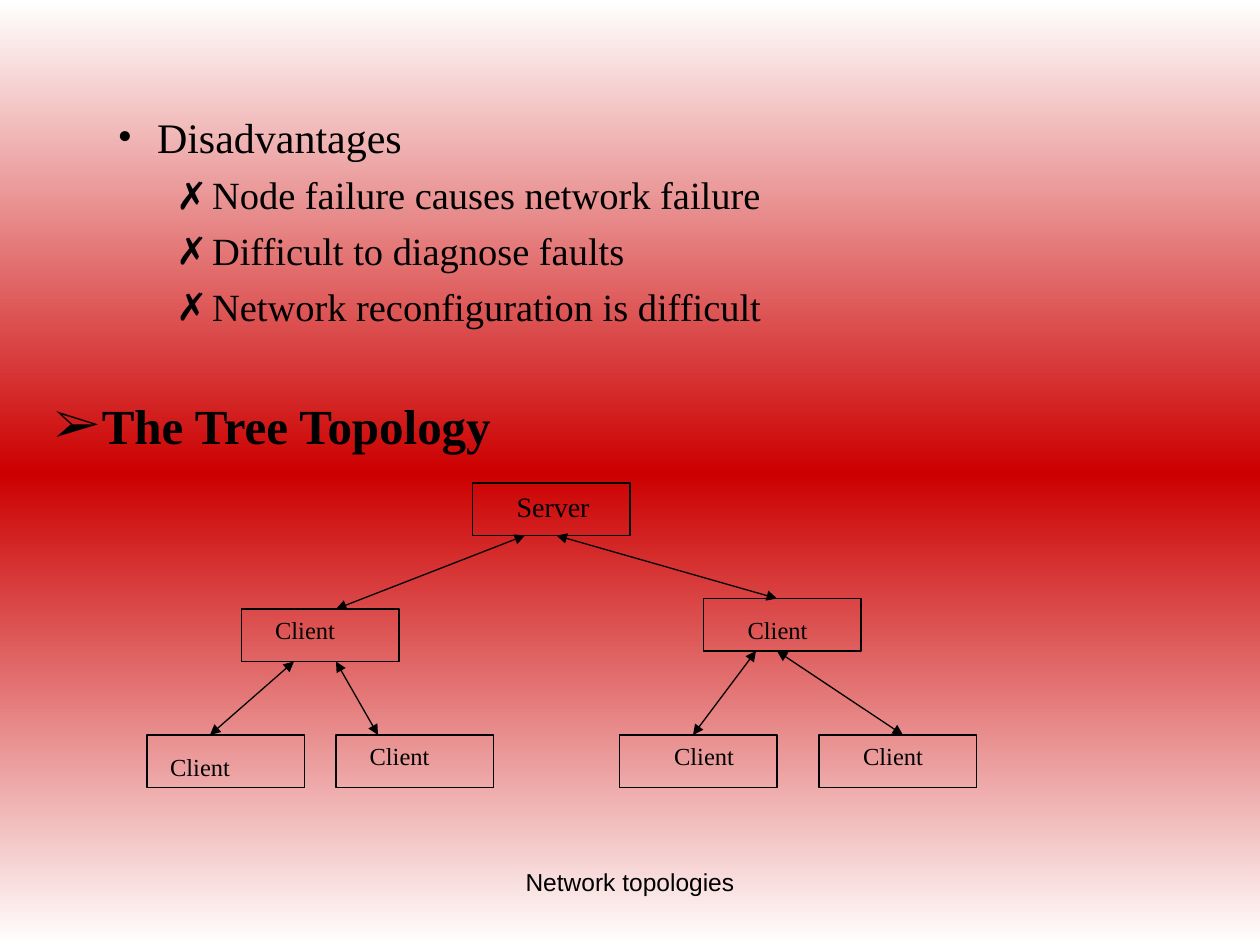
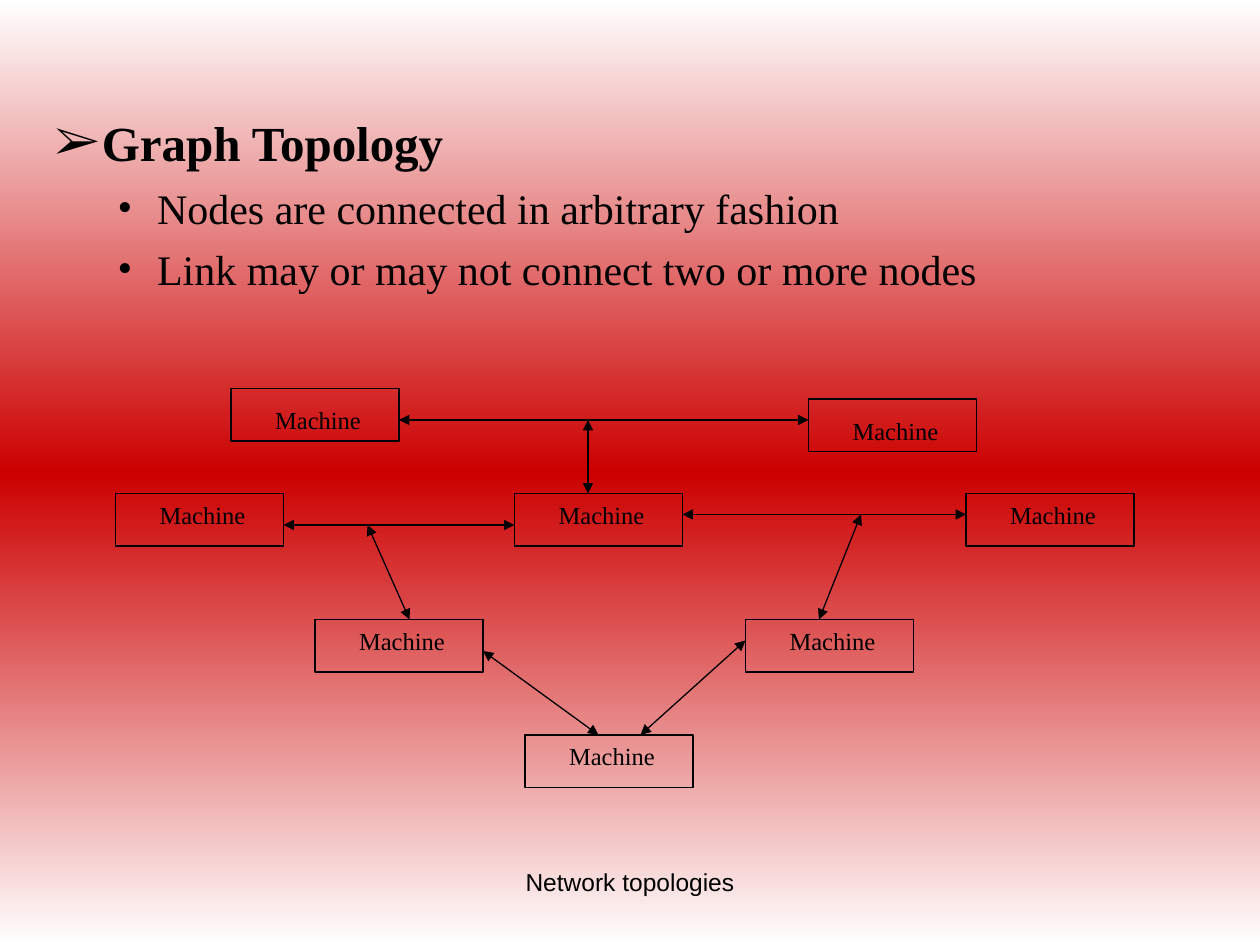
from typing import NamedTuple

from lxml.etree import SubElement
from pptx import Presentation
from pptx.dml.color import RGBColor
from pptx.enum.shapes import MSO_CONNECTOR, MSO_SHAPE
from pptx.enum.text import MSO_ANCHOR, MSO_AUTO_SIZE, PP_ALIGN
from pptx.oxml.ns import qn
from pptx.util import Pt

COLORS = {"ink": "000000", "edge": "FFFFFF", "band": "CC0000"}
SERIF = "Times New Roman"
SANS = "Arial"
NODE_HEIGHT = 30
LABEL_INDENT = 43.2


class Level(NamedTuple):
    bullet: str
    margin: float
    hanging: float
    before: float
    size: float
    bold: bool = False


class Line(NamedTuple):
    level: str
    text: str
    before: float | None = None


class Node(NamedTuple):
    text: str
    left: float
    top: float
    label_dx: float = -18
    label_dy: float = 0
    size: float = 14


class Link(NamedTuple):
    x1: float
    y1: float
    x2: float
    y2: float


class Topic(NamedTuple):
    body_height: float
    body_inset: float
    lines: list[Line]
    node_width: float
    label_width: float
    nodes: list[Node]
    links: list[Link]


LEVELS = {
    "heading": Level("➢", 27, 27, 7, 28, True),
    "point": Level("•", 58.5, 22.5, 6, 24),
    "fault": Level("✗", 90, 18, 5.5, 22),
}

TREE = Topic(
    body_height=252,
    body_inset=39.5,
    lines=[
        Line("point", "Disadvantages", 0),
        Line("fault", "Node failure causes network failure"),
        Line("fault", "Difficult to diagnose faults"),
        Line("fault", "Network reconfiguration is difficult"),
        Line("heading", "The Tree Topology", 38),
    ],
    node_width=90,
    label_width=96,
    nodes=[
        Node("Server", 270, 276, size=16),
        Node("Client", 138, 348, -24),
        Node("Client", 402, 342, label_dy=6),
        Node("Client", 84, 420, -30, 6),
        Node("Client", 192, 420, -24),
        Node("Client", 354, 420, -12),
        Node("Client", 468, 420),
    ],
    links=[
        Link(300, 306, 192, 348),
        Link(318, 306, 444, 342),
        Link(168, 378, 120, 420),
        Link(192, 378, 216, 420),
        Link(432, 372, 396, 420),
        Link(444, 372, 516, 420),
    ],
)

GRAPH = Topic(
    body_height=192,
    body_inset=40.5,
    lines=[
        Line("heading", "Graph Topology", 0),
        Line("point", "Nodes are connected in arbitrary fashion"),
        Line("point", "Link may or may not connect two or more nodes"),
    ],
    node_width=96,
    label_width=102,
    nodes=[
        Node("Machine", 132, 222, label_dy=6),
        Node("Machine", 462, 228, label_dy=6),
        Node("Machine", 66, 282),
        Node("Machine", 294, 282),
        Node("Machine", 552, 282),
        Node("Machine", 180, 354),
        Node("Machine", 426, 354),
        Node("Machine", 300, 420),
    ],
    links=[
        Link(228, 240, 462, 240),
        Link(162, 300, 294, 300),
        Link(390, 294, 552, 294),
        Link(336, 240, 336, 282),
        Link(210, 300, 234, 354),
        Link(492, 294, 468, 354),
        Link(276, 372, 342, 420),
        Link(426, 366, 366, 420),
    ],
)


def color(name: str) -> RGBColor:
    return RGBColor.from_string(COLORS[name])


def write(para, text: str, *, size: float, font: str = SERIF,
          bold: bool = False, align=PP_ALIGN.LEFT) -> None:
    para.alignment = align
    span = para.add_run()
    span.text = text
    span.font.name = font
    span.font.size = Pt(size)
    span.font.bold = bold
    span.font.color.rgb = color("ink")


def place(shape, left: float, top: float, width: float, height: float) -> None:
    shape.left, shape.top = Pt(left), Pt(top)
    shape.width, shape.height = Pt(width), Pt(height)


def add_label(page, text: str, left: float, top: float, width: float,
              height: float, indent: float = 7.2, **style) -> None:
    box = page.shapes.add_textbox(Pt(left), Pt(top), Pt(width), Pt(height))
    frame = box.text_frame
    frame.word_wrap = True
    frame.margin_left = Pt(indent)
    write(frame.paragraphs[0], text, **style)


# Background shared through the master
def paint_background(deck) -> None:
    master = deck.slide_master
    fill = master.background.fill
    fill.gradient()
    fill.gradient_angle = 270
    stops = master.element.find(".//" + qn("p:bg")).find(".//" + qn("a:gsLst"))
    for stop in list(stops):
        stops.remove(stop)
    for percent, name in ((0, "edge"), (50, "band"), (100, "edge")):
        stop = SubElement(stops, qn("a:gs"), pos=str(percent * 1000))
        SubElement(stop, qn("a:srgbClr"), val=COLORS[name])


# Outline text
def fill_body(body, topic: Topic) -> None:
    place(body, 24, 24, 648, topic.body_height)
    frame = body.text_frame
    frame.auto_size = MSO_AUTO_SIZE.NONE
    frame.vertical_anchor = MSO_ANCHOR.TOP
    frame.margin_top = Pt(topic.body_inset)
    for index, line in enumerate(topic.lines):
        para = frame.add_paragraph() if index else frame.paragraphs[0]
        level = LEVELS[line.level]
        para.level = list(LEVELS).index(line.level)
        para.space_before = Pt(level.before if line.before is None else line.before)
        write(para, line.text, size=level.size, bold=level.bold)
        properties = para._p.get_or_add_pPr()
        properties.set("marL", str(Pt(level.margin)))
        properties.set("indent", str(-Pt(level.hanging)))
        SubElement(properties, qn("a:buFont"), typeface=SERIF)
        SubElement(properties, qn("a:buChar"), char=level.bullet)


# Diagram parts
def add_frame(page, node: Node, width: float) -> None:
    box = page.shapes.add_shape(MSO_SHAPE.RECTANGLE, Pt(node.left), Pt(node.top),
                                Pt(width), Pt(NODE_HEIGHT))
    box.shadow.inherit = False
    box.fill.background()
    box.line.color.rgb = color("ink")
    box.line.width = Pt(0.75)


def add_link(page, link: Link) -> None:
    arrow = page.shapes.add_connector(MSO_CONNECTOR.STRAIGHT, *map(Pt, link))
    arrow.line.color.rgb = color("ink")
    arrow.line.width = Pt(0.75)
    outline = arrow.line._get_or_add_ln()
    for end in ("a:headEnd", "a:tailEnd"):
        SubElement(outline, qn(end), type="triangle")
    SubElement(arrow._element.spPr, qn("a:effectLst"))


def add_page(deck, topic: Topic) -> None:
    page = deck.slides.add_slide(deck.slide_layouts.get_by_name("Title and Content"))
    title = page.shapes.title._element
    title.getparent().remove(title)
    add_label(page, "Network topologies", 246, 492, 228, 37.5,
              size=14, font=SANS, align=PP_ALIGN.CENTER)
    fill_body(page.placeholders[1], topic)
    for node in topic.nodes:
        add_frame(page, node, topic.node_width)
    for node in topic.nodes:
        add_label(page, node.text, node.left + node.label_dx, node.top + node.label_dy,
                  topic.label_width, node.size + 10.5, LABEL_INDENT, size=node.size)
    for link in topic.links:
        add_link(page, link)


def main() -> None:
    deck = Presentation()
    deck.slide_width, deck.slide_height = Pt(720), Pt(540)
    paint_background(deck)
    for topic in (TREE, GRAPH):
        add_page(deck, topic)
    deck.save("out.pptx")


if __name__ == "__main__":
    main()
